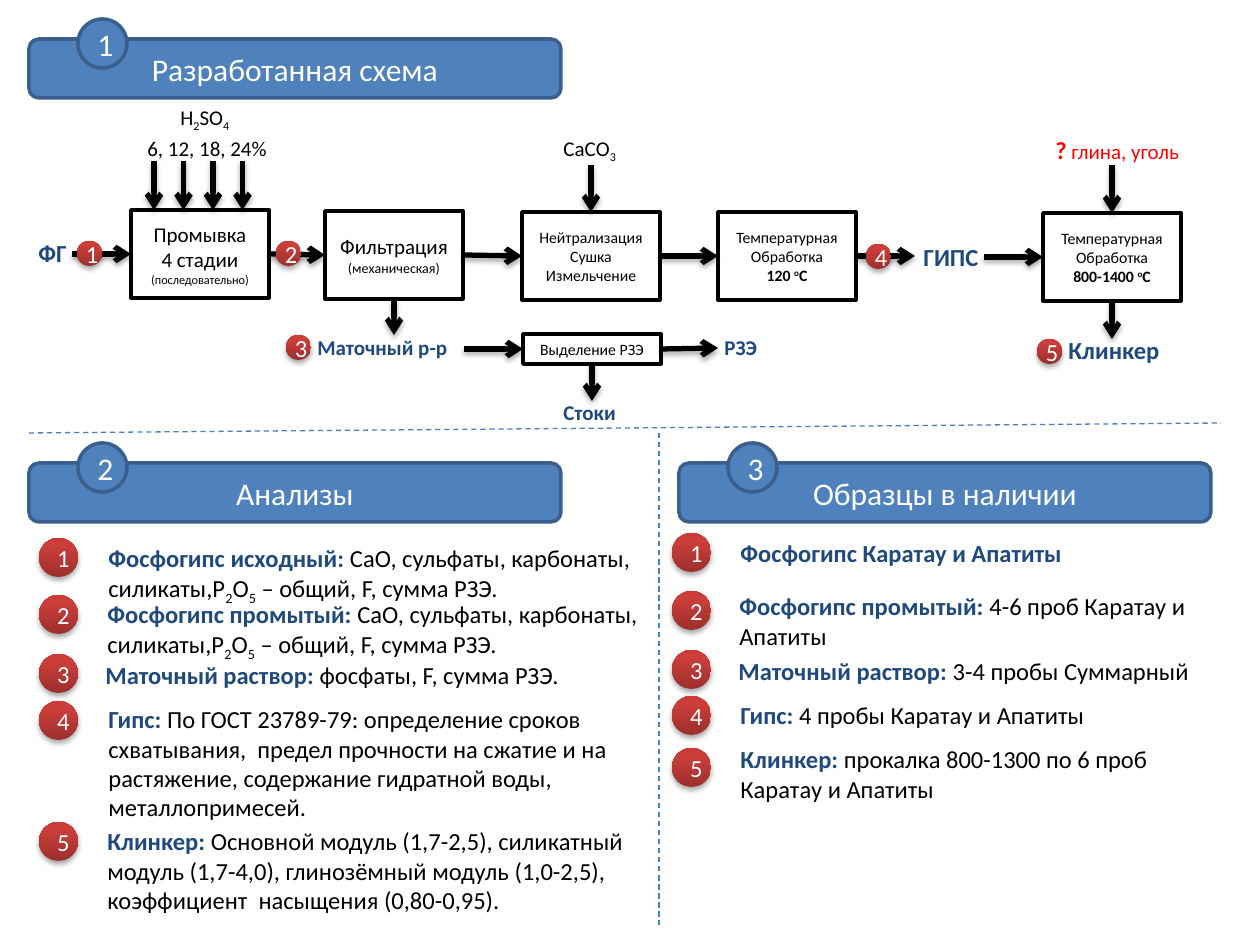
from lxml.etree import SubElement
from pptx import Presentation
from pptx.dml.color import RGBColor
from pptx.enum.dml import MSO_LINE_DASH_STYLE as Dash
from pptx.enum.shapes import MSO_CONNECTOR as Connector, MSO_SHAPE as Shape
from pptx.enum.text import MSO_ANCHOR as Anchor, MSO_AUTO_SIZE as AutoSize, PP_ALIGN as Align
from pptx.oxml.ns import qn
from pptx.util import Pt

PX = 914400 / 126
BLACK, WHITE, RED = "000000", "FFFFFF", "FF0000"
NAVY, BLUE, BLUE_EDGE, DASH_BLUE = "1F497D", "4F81BD", "3A5F8C", "4B7EBC"
BADGE_STOPS = [(0, "9C2F2D"), (80, "CB3E3A"), (100, "CE3B37")]

# Run formats
STRONG = {"bold": True}
TERM = {"bold": True, "color": NAVY}
SUB = {"baseline": -25000}
SUPER = {"bold": True, "baseline": 30000}

# Section headers: number, title, left, top
HEADERS = [
    ("1", "Разработанная схема", 29, 39),
    ("2", "Анализы", 29, 463),
    ("3", "Образцы в наличии", 679, 463),
]
HEADER_W, HEADER_H, NUMBER_SIZE = 532, 59, 49

# Process steps: left, top, height, text size, paragraphs of runs
STEP_W = 138
STEPS = {
    "wash": (131, 210, 88, 12, [["Промывка"], ["4 стадии"],
                                [("(последовательно)", {"size": Pt(7)})]]),
    "filter": (325, 211, 88, 12, [["Фильтрация ", ("(механическая)", {"size": Pt(8)})]]),
    "neutralise": (522, 212, 88, 9, [["Нейтрализация"], ["Сушка"], ["Измельчение"]]),
    "dry": (718, 212, 88, 9, [["Температурная"], ["Обработка"],
                              [("120 ", STRONG), ("о", SUPER), ("С", STRONG)]]),
    "kiln": (1043, 213, 88, 9, [["Температурная"], ["Обработка"],
                                [("800-1400 ", STRONG), ("о", SUPER), ("С", STRONG)]]),
    "rare_earth": (523, 334, 30, 9, [["Выделение РЗЭ"]]),
}

# Flow arrows: each end is a point or a (step, side) pair
TOP, LEFT, BOTTOM, RIGHT = range(4)
FLOWS = [
    ((72, 254), ("wash", LEFT)),
    (("wash", RIGHT), ("filter", LEFT)),
    (("filter", BOTTOM), (394, 335)),
    (("filter", RIGHT), ("neutralise", LEFT)),
    ((591, 165), ("neutralise", TOP)),
    (("neutralise", RIGHT), ("dry", LEFT)),
    (("dry", RIGHT), (915, 256)),
    ((984, 257), ("kiln", LEFT)),
    ((1112, 165), ("kiln", TOP)),
    (("kiln", BOTTOM), (1112, 339)),
    ((464, 349), ("rare_earth", LEFT)),
    (("rare_earth", BOTTOM), (592, 401)),
    (("rare_earth", RIGHT), (718, 348)),
]
ACID_FIRST, ACID_STEP, ACID_COUNT = 154, 29.5, 4

# Labels in the scheme: left, top, width, height, size, runs
LABELS = [
    (168, 98, 77, 38, 12, ["H", ("2", SUB), "SO", ("4", SUB)]),
    (135, 129, 147, 38, 12, ["6, 12, 18, 24%"]),
    (26, 232, 54, 43, 14, [("ФГ", TERM)]),
    (305, 328, 156, 38, 12, [("Маточный р-р", TERM)]),
    (551, 129, 79, 38, 12, ["СаСO", ("3", SUB)]),
    (911, 236, 81, 43, 14, [("ГИПС", TERM)]),
    (1043, 129, 150, 43, 12, [("?", {"size": Pt(14), "bold": True, "color": RED}),
                              (" глина, уголь", {"color": RED})]),
    (1056, 329, 117, 43, 14, [("Клинкер", TERM)]),
    (551, 393, 78, 38, 12, [("Стоки", TERM)]),
    (712, 328, 58, 38, 12, [("РЗЭ", TERM)]),
]

# Sampling points in the scheme, numbered in order: left, top
SAMPLE_POINTS = [(77, 241), (276, 241), (286, 335), (866, 244), (1037, 339)]
SMALL_BADGE, LARGE_BADGE = 25, 39

# Lists: badge left, then badge top, text box (left, top, width, height), runs
OXIDES = ["СаО, сульфаты, карбонаты, силикаты,Р", ("2", SUB), "О", ("5", SUB),
          " – общий, F, сумма РЗЭ."]
LISTS = [
    (39, [
        (538, (96, 537, 602, 72), [("Фосфогипс исходный: ", TERM), *OXIDES]),
        (595, (95, 593, 595, 72), [("Фосфогипс промытый: ", TERM), *OXIDES]),
        (654, (93, 654, 557, 43), [("Маточный раствор: ", TERM), "фосфаты, F, сумма РЗЭ."]),
        (701, (96, 698, 585, 151), [("Гипс: ", TERM), "По ГОСТ 23789-79: определение сроков "
                                    "схватывания,  предел прочности на сжатие и на растяжение, "
                                    "содержание гидратной воды, металлопримесей."]),
        (822, (95, 820, 556, 102), [("Клинкер: ", TERM), "Основной модуль (1,7-2,5), силикатный "
                                    "модуль (1,7-4,0), глинозёмный модуль (1,0-2,5), "
                                    "коэффициент  насыщения (0,80-0,95)."]),
    ]),
    (672, [
        (533, (728, 532, 512, 43), [("Фосфогипс Каратау и Апатиты", TERM)]),
        (591, (727, 585, 505, 72), [("Фосфогипс промытый: ", TERM), "4-6 проб Каратау и Апатиты"]),
        (650, (726, 650, 495, 43), [("Маточный раствор: ", TERM), "3-4 пробы Суммарный"]),
        (696, (728, 694, 496, 43), [("Гипс: ", TERM), "4 пробы Каратау и Апатиты"]),
        (748, (728, 738, 471, 72), [("Клинкер: ", TERM),
                                    "прокалка 800-1300 по 6 проб Каратау и Апатиты"]),
    ]),
]
DIVIDERS = [((29, 433), (1221, 423)), ((659, 433), (659, 925))]


def px(*lengths):
    return [round(length * PX) for length in lengths]


def rgb(color):
    return RGBColor.from_string(color)


def write(frame, paragraphs, size, color=BLACK, align=Align.LEFT):
    for index, runs in enumerate(paragraphs):
        paragraph = frame.add_paragraph() if index else frame.paragraphs[0]
        paragraph.alignment = align
        for item in runs:
            words, extra = (item, {}) if isinstance(item, str) else item
            run = paragraph.add_run()
            run.text = words
            formats = {"name": "Calibri", "size": Pt(size), "color": color, **extra}
            run.font.color.rgb = rgb(formats.pop("color"))
            if "baseline" in formats:
                run._r.get_or_add_rPr().set("baseline", str(formats.pop("baseline")))
            for key, value in formats.items():
                setattr(run.font, key, value)


def drop_shadow(effects):
    outer = SubElement(effects, qn("a:outerShdw"), blurRad="40000", dist="23000",
                       dir="5400000", rotWithShape="0")
    tint = SubElement(outer, qn("a:srgbClr"), val=BLACK)
    SubElement(tint, qn("a:alpha"), val="35000")


def add_box(kind, box, paragraphs, size, fill, edge, color):
    shape = slide.shapes.add_shape(kind, *px(*box))
    shape.shadow.inherit = False
    if fill:
        shape.fill.solid()
        shape.fill.fore_color.rgb = rgb(fill)
    if edge:
        shape.line.color.rgb = rgb(edge)
        shape.line.width = Pt(2)
    else:
        shape.line.fill.background()
    shape.text_frame.vertical_anchor = Anchor.MIDDLE
    write(shape.text_frame, paragraphs, size, color, Align.CENTER)
    return shape


def add_badge(number, left, top, side):
    badge = add_box(Shape.OVAL, (left, top, side, side), [[str(number)]], 14, None, None, WHITE)
    badge.fill.gradient()
    badge.fill.gradient_angle = 90
    properties = badge._element.spPr
    stops = properties.find(qn("a:gradFill")).find(qn("a:gsLst"))
    for old in list(stops):
        stops.remove(old)
    for percent, color in BADGE_STOPS:
        stop = SubElement(stops, qn("a:gs"), pos=str(percent * 1000))
        SubElement(stop, qn("a:srgbClr"), val=color)
    drop_shadow(properties.find(qn("a:effectLst")))


def add_text(box, runs, size, wrap):
    frame = slide.shapes.add_textbox(*px(*box)).text_frame
    frame.word_wrap = wrap
    frame.auto_size = AutoSize.SHAPE_TO_FIT_TEXT
    write(frame, [runs], size)


def add_line(start, end, color, width, arrow):
    points = [(0, 0) if isinstance(tip[0], str) else tip for tip in (start, end)]
    line = slide.shapes.add_connector(Connector.STRAIGHT, *px(*points[0], *points[1]))
    for tip, join in ((start, line.begin_connect), (end, line.end_connect)):
        if isinstance(tip[0], str):
            join(steps[tip[0]], tip[1])
    line.line.color.rgb = rgb(color)
    line.line.width = Pt(width)
    properties = line._element.spPr
    effects = SubElement(properties, qn("a:effectLst"))
    if arrow:
        SubElement(properties.find(qn("a:ln")), qn("a:tailEnd"), type="arrow")
        drop_shadow(effects)
    else:
        line.line.dash_style = Dash.DASH


deck = Presentation()
deck.slide_width, deck.slide_height = px(1260, 945)
slide = deck.slides.add_slide(deck.slide_layouts[6])

# Dividers and section headers
for start, end in DIVIDERS:
    add_line(start, end, DASH_BLUE, 0.75, False)
for number, title, left, top in HEADERS:
    add_box(Shape.ROUNDED_RECTANGLE, (left, top, HEADER_W, HEADER_H), [[title]], 18,
            BLUE, BLUE_EDGE, WHITE)
    add_box(Shape.OVAL, (left + 49, top - 20, NUMBER_SIZE, NUMBER_SIZE), [[number]], 18,
            BLUE, BLUE_EDGE, WHITE)

# Process scheme
steps = {name: add_box(Shape.RECTANGLE, (left, top, STEP_W, height), paragraphs, size,
                       WHITE, BLACK, BLACK)
         for name, (left, top, height, size, paragraphs) in STEPS.items()}
acid_xs = [ACID_FIRST + ACID_STEP * index for index in range(ACID_COUNT)]
for start, end in [((x, 161), (x, 210)) for x in acid_xs] + FLOWS:
    add_line(start, end, BLACK, 3, True)
for *box, size, runs in LABELS:
    add_text(box, runs, size, False)
for number, (left, top) in enumerate(SAMPLE_POINTS, 1):
    add_badge(number, left, top, SMALL_BADGE)

# Analyses and samples
for badge_left, entries in LISTS:
    for number, (badge_top, box, runs) in enumerate(entries, 1):
        add_badge(number, badge_left, badge_top, LARGE_BADGE)
        add_text(box, runs, 14, True)

deck.save("out.pptx")
